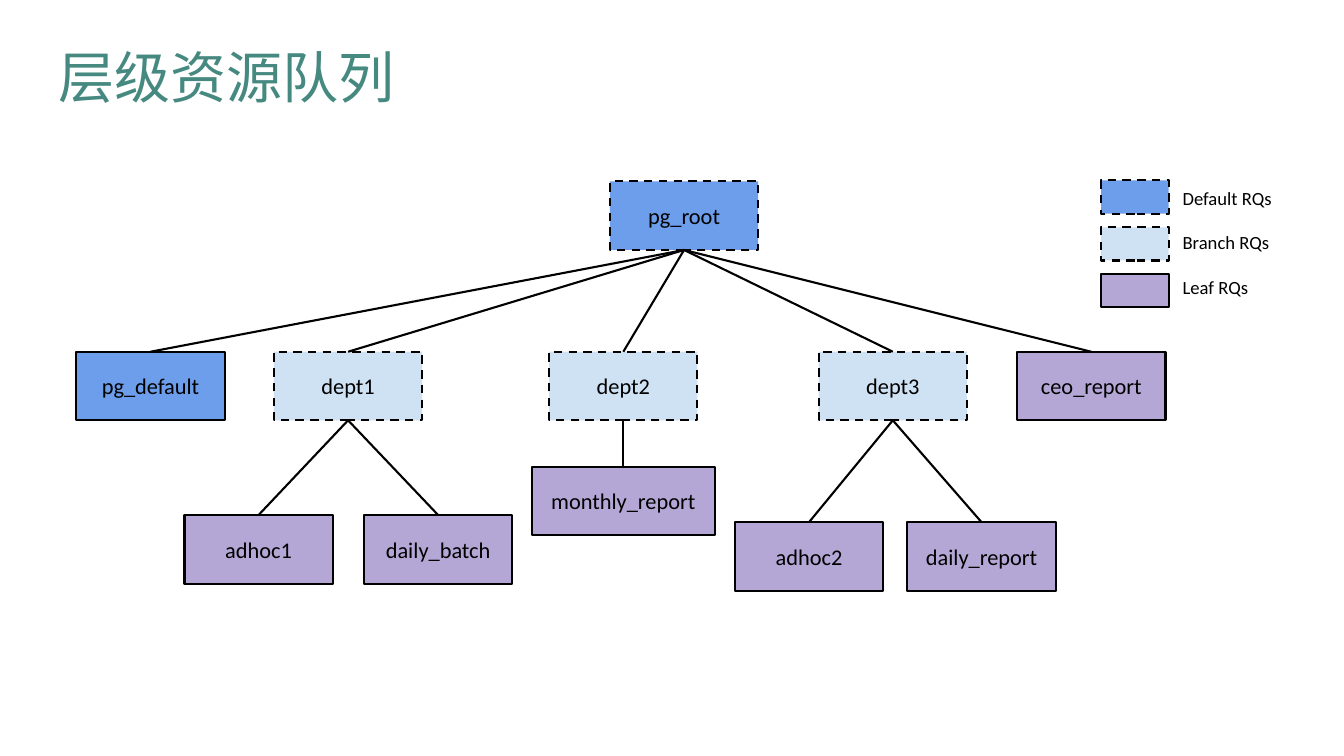
from lxml import etree
from pptx import Presentation
from pptx import util as u
from pptx.dml.color import RGBColor
from pptx.enum import dml, shapes, text
from pptx.oxml import ns

WIDTH, HEIGHT = u.Inches(13.33), u.Inches(7.5)
BLACK = RGBColor(0x00, 0x00, 0x00)
TEAL = RGBColor(0x46, 0x89, 0x80)
BLUE = RGBColor(0x6D, 0x9E, 0xEB)
PALE = RGBColor(0xCF, 0xE2, 0xF3)
PURPLE = RGBColor(0xB4, 0xA7, 0xD6)

FONT = "Calibri"
INSET = u.Inches(0.13)
NODE_WIDTH, WIDE_NODE, NODE_HEIGHT = 11.03, 13.65, 9.07
ROOT_ROW, DEPT_ROW = 24, 46.53
MONTHLY_ROW, DEPT1_ROW, DEPT3_ROW = 61.73, 68.13, 69.07

DEFAULT_ROOT = (BLUE, True)
DEFAULT = (BLUE, False)
BRANCH = (PALE, True)
LEAF = (PURPLE, False)

# name: (centre, top, width, style, parent)
QUEUES = {
    "pg_root": (50.9, ROOT_ROW, NODE_WIDTH, DEFAULT_ROOT, None),
    "pg_default": (11.2, DEPT_ROW, NODE_WIDTH, DEFAULT, "pg_root"),
    "dept1": (25.9, DEPT_ROW, NODE_WIDTH, BRANCH, "pg_root"),
    "dept2": (46.38, DEPT_ROW, NODE_WIDTH, BRANCH, "pg_root"),
    "dept3": (66.43, DEPT_ROW, NODE_WIDTH, BRANCH, "pg_root"),
    "ceo_report": (81.2, DEPT_ROW, NODE_WIDTH, LEAF, "pg_root"),
    "adhoc1": (19.24, DEPT1_ROW, NODE_WIDTH, LEAF, "dept1"),
    "daily_batch": (32.6, DEPT1_ROW, NODE_WIDTH, LEAF, "dept1"),
    "monthly_report": (46.38, MONTHLY_ROW, WIDE_NODE, LEAF, "dept2"),
    "adhoc2": (60.2, DEPT3_ROW, NODE_WIDTH, LEAF, "dept3"),
    "daily_report": (73.03, DEPT3_ROW, NODE_WIDTH, LEAF, "dept3"),
}
LEGEND = [("Default RQs", DEFAULT_ROOT), ("Branch RQs", BRANCH), ("Leaf RQs", LEAF)]


def area(left, top, width, height):
    return (int(WIDTH * left / 100), int(HEIGHT * top / 100),
            int(WIDTH * width / 100), int(HEIGHT * height / 100))


def write(box, words, size, color, align, anchor, inset_y=INSET):
    frame = box.text_frame
    frame.word_wrap = True
    frame.auto_size = text.MSO_AUTO_SIZE.NONE
    frame.vertical_anchor = anchor
    frame.margin_left = frame.margin_right = INSET
    frame.margin_top = frame.margin_bottom = inset_y
    para = frame.paragraphs[0]
    para.text = words
    para.alignment = align
    para.font.name = FONT
    para.font.size = u.Pt(size)
    para.font.color.rgb = color


def outline(line, dashed=False):
    line.color.rgb = BLACK
    line.width = u.Pt(1.5)
    if dashed:
        line.dash_style = dml.MSO_LINE.DASH


def add_box(page, place, style):
    fill, dashed = style
    box = page.shapes.add_shape(shapes.MSO_SHAPE.RECTANGLE, *area(*place))
    box.shadow.inherit = False
    box.fill.solid()
    box.fill.fore_color.rgb = fill
    outline(box.line, dashed)
    return box


def add_queue(page, name, centre, top, width, style):
    box = add_box(page, (centre - width / 2, top, width, NODE_HEIGHT), style)
    write(box, name, 16, BLACK, text.PP_ALIGN.CENTER, text.MSO_ANCHOR.MIDDLE)
    return box


def add_link(page, parent, child):
    link = page.shapes.add_connector(shapes.MSO_CONNECTOR.STRAIGHT, 0, 0, 0, 0)
    link.begin_connect(parent, 2)
    link.end_connect(child, 0)
    outline(link.line)
    etree.SubElement(link._element.spPr, ns.qn("a:effectLst"))


def add_legend(page):
    for row, (label, style) in enumerate(LEGEND):
        add_box(page, (81.92, 23.87 + 6.2 * row, 5.03, 4.4), style)
        box = page.shapes.add_textbox(*area(87.02, 22.93 + 5.93 * row, 10.88, 5.87))
        write(box, label, 13.3, BLACK, text.PP_ALIGN.LEFT, text.MSO_ANCHOR.TOP)


def set_title(page, words):
    title = page.shapes.title
    title.left, title.top, title.width, title.height = area(3.38, 5.07, 75.69, 10)
    write(title, words, 40, TEAL, text.PP_ALIGN.LEFT,
          text.MSO_ANCHOR.MIDDLE, u.Inches(0.07))


def main():
    deck = Presentation()
    deck.slide_width, deck.slide_height = WIDTH, HEIGHT
    page = deck.slides.add_slide(deck.slide_layouts[5])
    set_title(page, "层级资源队列")
    boxes = {}
    for name, (centre, top, width, style, parent) in QUEUES.items():
        boxes[name] = add_queue(page, name, centre, top, width, style)
        if parent:
            add_link(page, boxes[parent], boxes[name])
    add_legend(page)
    deck.save("out.pptx")


if __name__ == "__main__":
    main()
